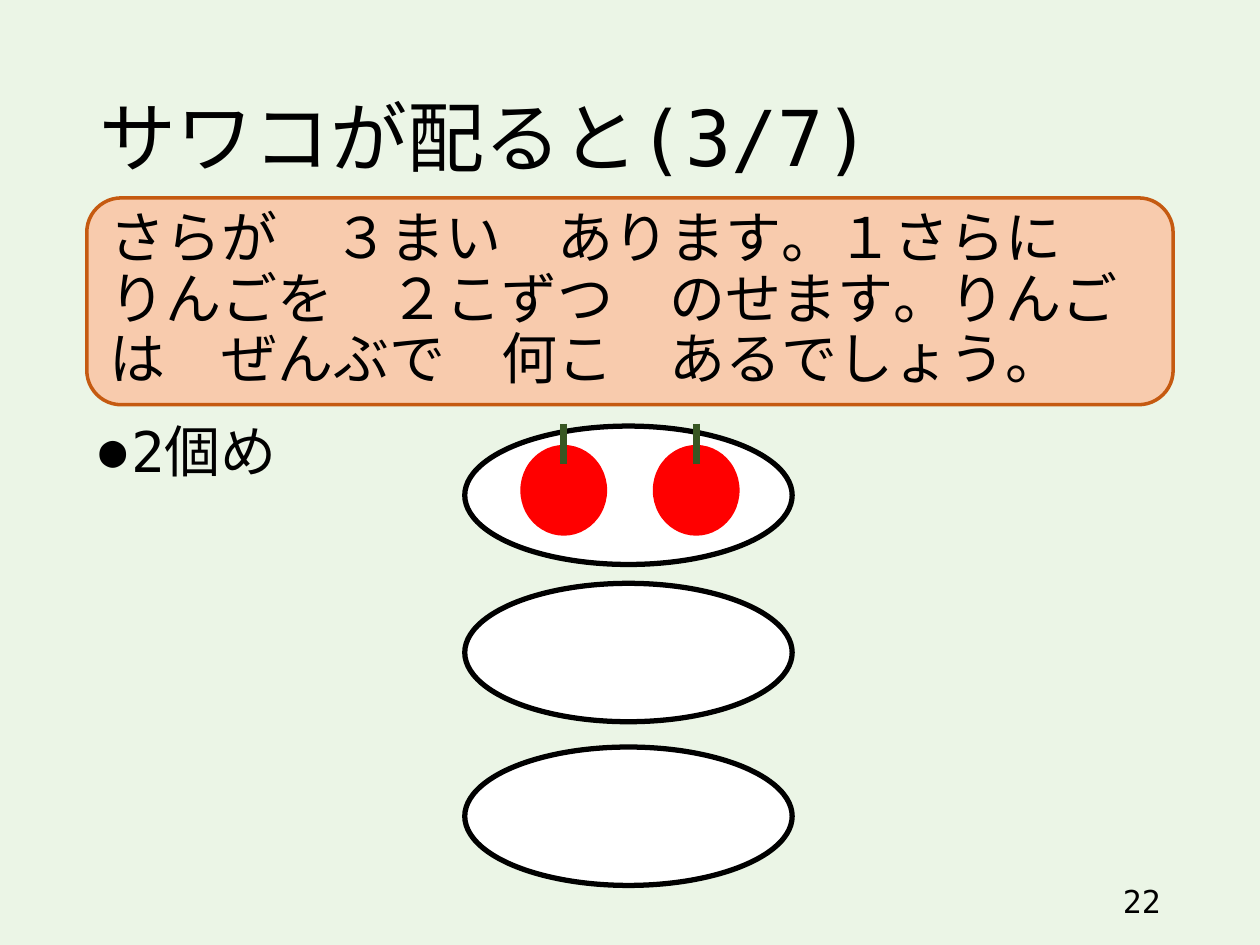
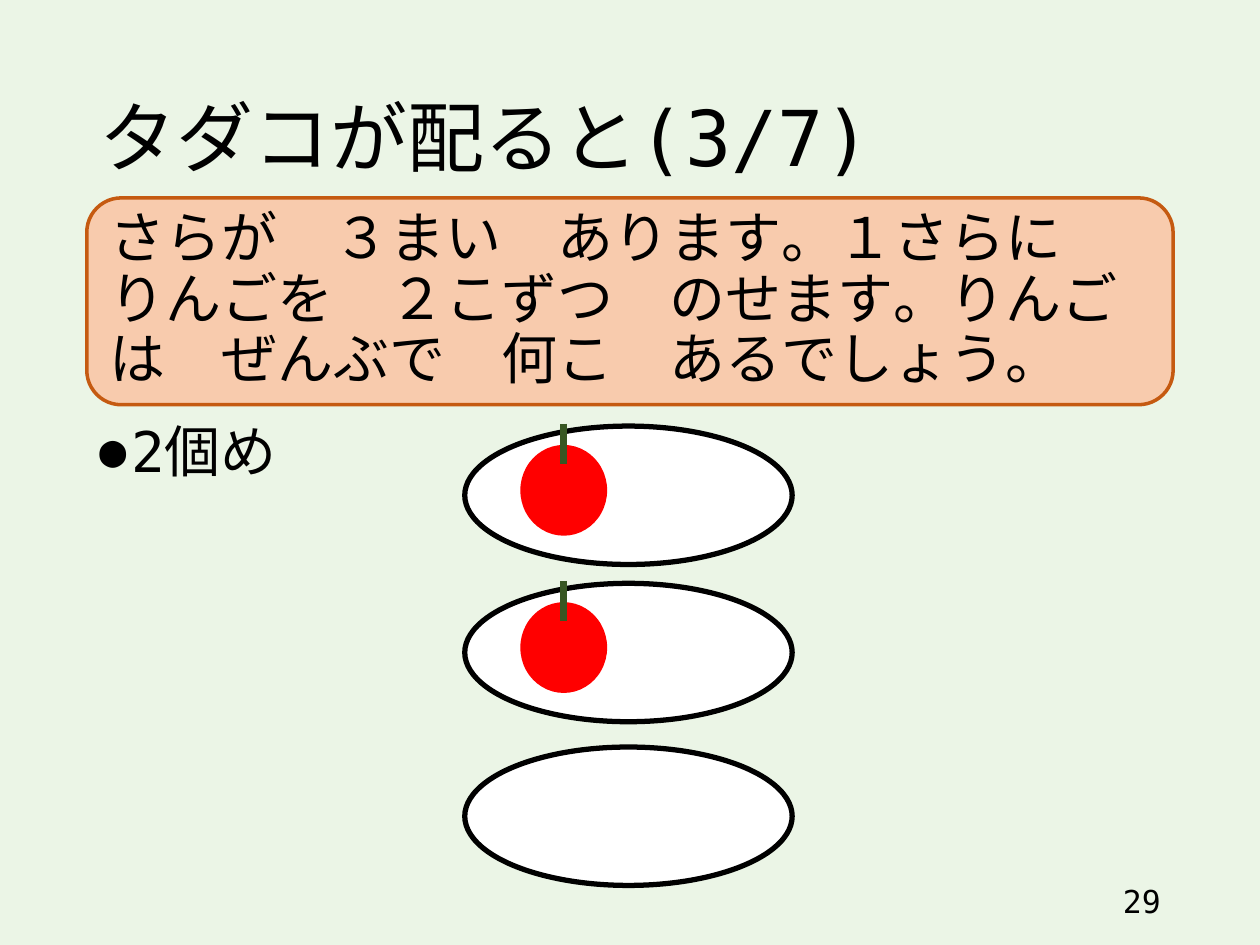
from lxml.etree import SubElement
from pptx import Presentation
from pptx.dml.color import RGBColor
from pptx.enum.lang import MSO_LANGUAGE_ID as LANG
from pptx.enum.shapes import MSO_CONNECTOR, MSO_SHAPE
from pptx.enum.text import MSO_ANCHOR as ANCHOR, MSO_AUTO_SIZE, PP_ALIGN as ALIGN
from pptx.oxml.ns import qn
from pptx.util import Cm, Pt

MINT = RGBColor(0xEB, 0xF5, 0xE6)
PEACH = RGBColor(0xF8, 0xCB, 0xAD)
RUST = RGBColor(0xC5, 0x5A, 0x11)
RED = RGBColor(0xFF, 0x00, 0x00)
STEM_GREEN = RGBColor(0x38, 0x57, 0x23)
BLACK = RGBColor(0x00, 0x00, 0x00)
WHITE = RGBColor(0xFF, 0xFF, 0xFF)

FONT = "DejaVu Sans Mono"
MARGIN, CONTENT_W = 1.75, 21.9
PLATE_LEFT, PLATE_W, PLATE_H = 9.37, 6.6, 2.79
PLATE_TOPS = (8.59, 11.76, 15.06)
APPLE_W, APPLE_H, APPLE_STEP = 1.75, 1.83, 2.67

PROBLEM = ("さらが　３まい　あります。１さらに　りんごを　２こずつ　のせます。"
           "りんごは　ぜんぶで　何こ　あるでしょう。")
# title, page number, list item, apples on each plate from the top
SLIDES = [
    ("サワコが配ると(3/7)", "22", "2個め", (2, 0, 0)),
    ("タダコが配ると(3/7)", "29", "2個め", (1, 1, 0)),
]


class Deck:
    def __init__(self):
        self.prs = Presentation()
        self.prs.slide_width, self.prs.slide_height = Cm(25.4), Cm(19.05)
        fill = self.prs.slide_master.background.fill
        fill.solid()
        fill.fore_color.rgb = MINT
        self.s = None

    def new_slide(self):
        self.s = self.prs.slides.add_slide(self.prs.slide_layouts[1])

    def place(self, sp, *box):
        sp.left, sp.top, sp.width, sp.height = map(Cm, box)

    def set_text(self, sp, text, size, anchor=ANCHOR.MIDDLE, align=ALIGN.LEFT,
                 spacing=0.9, bullet=None):
        tf = sp.text_frame
        frame = {"word_wrap": True, "auto_size": MSO_AUTO_SIZE.NONE,
                 "vertical_anchor": anchor}
        for name, value in frame.items():
            setattr(tf, name, value)
        p = tf.paragraphs[0]
        for name, value in {"alignment": align, "line_spacing": spacing,
                            "space_before": Pt(0)}.items():
            setattr(p, name, value)
        if bullet:
            self.add_bullet(p, bullet)
        r = p.add_run()
        r.text = text
        for name, value in {"name": FONT, "size": Pt(size),
                            "language_id": LANG.JAPANESE}.items():
            setattr(r.font, name, value)
        r.font.color.rgb = BLACK
        SubElement(r._r.get_or_add_rPr(), qn("a:ea"), typeface=FONT)

    def add_bullet(self, p, char):
        pPr = p._p.get_or_add_pPr()
        pPr.set("marL", str(Cm(0.64)))
        pPr.set("indent", str(-Cm(0.64)))
        SubElement(pPr, qn("a:buSzPct"), val="80000")
        SubElement(pPr, qn("a:buFont"), typeface=FONT)
        SubElement(pPr, qn("a:buChar"), char=char)

    def title(self, text):
        sp = self.s.shapes.title
        self.place(sp, MARGIN, 1.02, CONTENT_W, 3.68)
        self.set_text(sp, text, 44)

    def list_item(self, text):
        sp = self.s.placeholders[1]
        self.place(sp, MARGIN, 8.43, CONTENT_W, 8.71)
        self.set_text(sp, text, 32, anchor=ANCHOR.TOP, bullet="●")

    def page_number(self, text):
        sp = self.s.shapes.add_textbox(Cm(17.93), Cm(17.65), Cm(5.72), Cm(1.02))
        self.set_text(sp, text, 18, align=ALIGN.RIGHT, spacing=1.0)

    def shape(self, shapes, kind, box, fill, line=None, width=0):
        sp = shapes.add_shape(kind, *map(Cm, box))
        sp.shadow.inherit = False
        sp.fill.solid()
        sp.fill.fore_color.rgb = fill
        if line is None:
            sp.line.fill.background()
        else:
            sp.line.color.rgb = line
            sp.line.width = Pt(width)
        return sp

    def problem_box(self, text):
        sp = self.shape(self.s.shapes, MSO_SHAPE.ROUNDED_RECTANGLE,
                        (MARGIN, 3.99, CONTENT_W, 4.17), PEACH, RUST, 2)
        self.set_text(sp, text, 32)

    def plate(self, top, apples):
        self.shape(self.s.shapes, MSO_SHAPE.OVAL,
                   (PLATE_LEFT, top, PLATE_W, PLATE_H), WHITE, BLACK, 3)
        for i in range(apples):
            self.apple(PLATE_LEFT + 1.12 + i * APPLE_STEP, top + 0.38)

    def apple(self, left, top):
        shapes = self.s.shapes.add_group_shape().shapes
        self.shape(shapes, MSO_SHAPE.OVAL, (left, top, APPLE_W, APPLE_H), RED)
        x = Cm(left + APPLE_W / 2)
        stem = shapes.add_connector(MSO_CONNECTOR.STRAIGHT,
                                    x, Cm(top - 0.43), x, Cm(top + 0.38))
        stem.line.color.rgb = STEM_GREEN
        stem.line.width = Pt(4)
        SubElement(stem._element.spPr, qn("a:effectLst"))


def main():
    deck = Deck()
    for title, number, item, apples_per_plate in SLIDES:
        deck.new_slide()
        deck.title(title)
        deck.list_item(item)
        deck.page_number(number)
        deck.problem_box(PROBLEM)
        for top, apples in zip(PLATE_TOPS, apples_per_plate):
            deck.plate(top, apples)
    deck.prs.save("out.pptx")


if __name__ == "__main__":
    main()
